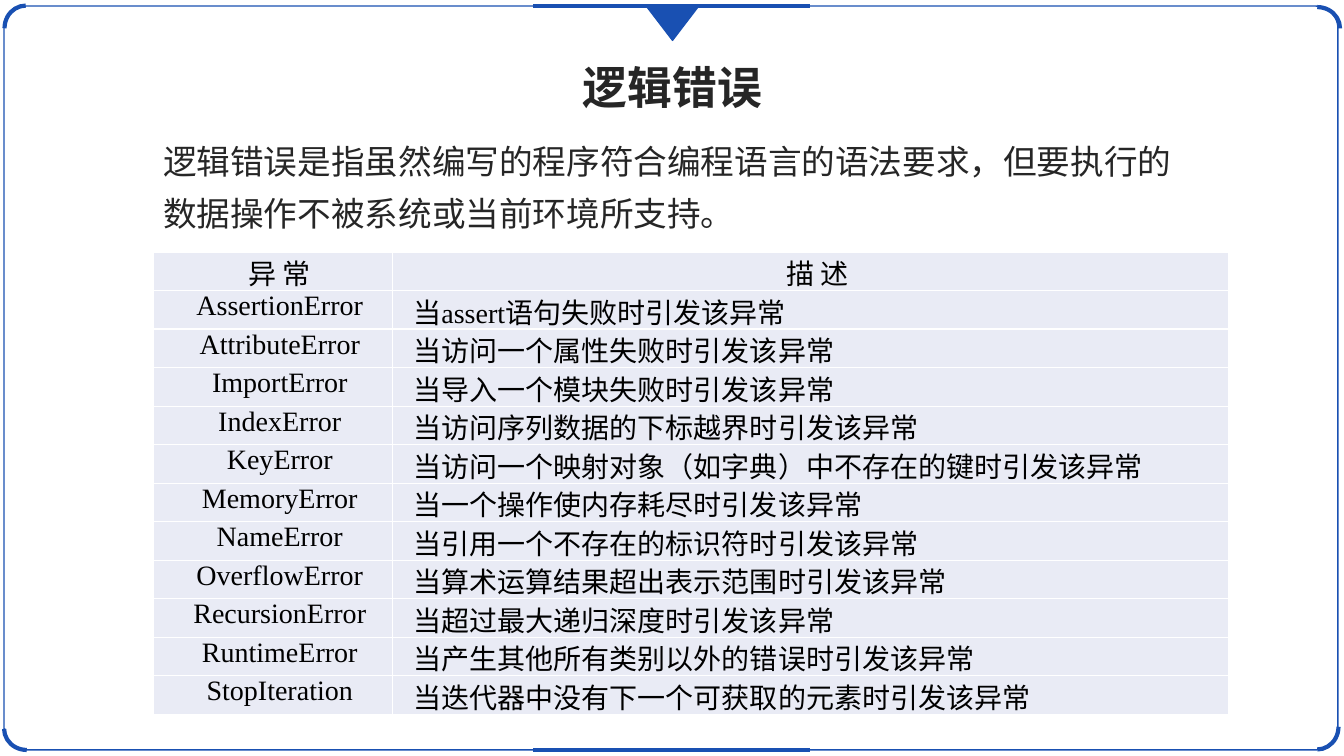
from typing import NamedTuple

from lxml import etree
from pptx import Presentation
from pptx.dml.color import RGBColor
from pptx.enum.shapes import MSO_CONNECTOR, MSO_SHAPE
from pptx.enum.text import MSO_ANCHOR, MSO_AUTO_SIZE, PP_ALIGN
from pptx.oxml.ns import qn
from pptx.util import Inches, Pt

ARC, FRAME = MSO_SHAPE.ARC, MSO_SHAPE.ROUNDED_RECTANGLE
ARROW = MSO_SHAPE.ISOSCELES_TRIANGLE
STRAIGHT = MSO_CONNECTOR.STRAIGHT
LEFT, CENTER = PP_ALIGN.LEFT, PP_ALIGN.CENTER
TOP, MIDDLE = MSO_ANCHOR.TOP, MSO_ANCHOR.MIDDLE
FIT, NO_FIT = MSO_AUTO_SIZE.SHAPE_TO_FIT_TEXT, MSO_AUTO_SIZE.NONE
FONT = "Times New Roman"
BLUE, DARK, BLACK, PALE, WHITE = "1950B2", "262626", "000000", "E9EBF5", "FFFFFF"


class Box(NamedTuple):
    left: float
    top: float
    width: float
    height: float

    def place(self) -> list:
        return [Inches(n) for n in self]


class Part(NamedTuple):
    kind: int
    box: Box
    turn: int
    weight: float
    fill: str = ""


class Row(NamedTuple):
    name: str
    note: str


PARTS = [
    Part(FRAME, Box(0.04, 0.06, 13.23, 7.38), 0, 1),
    Part(ARC, Box(0.03, 0.07, 0.45, 0.42), 270, 3),
    Part(ARC, Box(0.04, 7.02, 0.45, 0.42), 180, 3),
    Part(ARC, Box(12.84, 0.07, 0.45, 0.42), 0, 3),
    Part(ARC, Box(12.84, 7, 0.45, 0.42), 90, 3),
    Part(ARROW, Box(6.41, 0.06, 0.52, 0.34), 180, 1, BLUE),
]
EDGES = [0.06, 7.44]
INTRO = "逻辑错误是指虽然编写的程序符合编程语言的语法要求，但要执行的数据操作不被系统或当前环境所支持。"
ROWS = [
    Row("异 常", "描 述"),
    Row("AssertionError", "当assert语句失败时引发该异常"),
    Row("AttributeError", "当访问一个属性失败时引发该异常"),
    Row("ImportError", "当导入一个模块失败时引发该异常"),
    Row("IndexError", "当访问序列数据的下标越界时引发该异常"),
    Row("KeyError", "当访问一个映射对象（如字典）中不存在的键时引发该异常"),
    Row("MemoryError", "当一个操作使内存耗尽时引发该异常"),
    Row("NameError", "当引用一个不存在的标识符时引发该异常"),
    Row("OverflowError", "当算术运算结果超出表示范围时引发该异常"),
    Row("RecursionError", "当超过最大递归深度时引发该异常"),
    Row("RuntimeError", "当产生其他所有类别以外的错误时引发该异常"),
    Row("StopIteration", "当迭代器中没有下一个可获取的元素时引发该异常"),
]
WIDTHS = [2.37, 8.3]


def paint(target, color: str) -> None:
    """Give a fill or a line's fill one solid colour."""
    target.solid()
    target.fore_color.rgb = RGBColor.from_string(color)


def write(frame, text: str, size: int, color: str, align: int, bold: bool = False):
    frame.text = text
    para = frame.paragraphs[0]
    para.alignment = align
    font = para.font
    font.name, font.size, font.bold = FONT, Pt(size), bold
    font.color.rgb = RGBColor.from_string(color)
    return para


def draw(shapes, part: Part) -> None:
    shape = shapes.add_shape(part.kind, *part.box.place())
    shape.rotation = part.turn
    shape.shadow.inherit = False
    if part.kind == FRAME:
        shape.adjustments[0] = 0.03
    if part.fill:
        paint(shape.fill, part.fill)
    else:
        shape.fill.background()
    paint(shape.line.fill, BLUE)
    shape.line.width = Pt(part.weight)


def rule(shapes, top: float) -> None:
    """Draw the short thick bar at the middle of an edge."""
    line = shapes.add_connector(
        STRAIGHT, Inches(5.29), Inches(top), Inches(8.03), Inches(top))
    paint(line.line.fill, BLUE)
    line.line.width = Pt(3)
    etree.SubElement(line._element.spPr, qn("a:effectLst"))


def border(cell) -> None:
    props = cell._tc.get_or_add_tcPr()
    for side in "LRTB":
        line = etree.SubElement(props, qn(f"a:ln{side}"), w=str(Pt(1)))
        fill = etree.SubElement(line, qn("a:solidFill"))
        etree.SubElement(fill, qn("a:srgbClr"), val=WHITE)


def fill_cell(cell, text: str, align: int, anchor: int) -> None:
    border(cell)
    paint(cell.fill, PALE)
    cell.margin_left = cell.margin_right = Inches(0.07)
    cell.margin_top = cell.margin_bottom = 0
    cell.vertical_anchor = anchor
    para = write(cell.text_frame, text, 20, BLACK, align)
    para._p.get_or_add_pPr().set("indent", str(Inches(0.14)))


def add_grid(shapes) -> None:
    box = Box(1.52, 2.5, sum(WIDTHS), 4.59)
    table = shapes.add_table(len(ROWS), len(WIDTHS), *box.place()).table
    for col, width in zip(table.columns, WIDTHS):
        col.width = Inches(width)
    for r, row in enumerate(ROWS):
        for c, text in enumerate(row):
            align = LEFT if r and c else CENTER
            fill_cell(table.cell(r, c), text, align, TOP if r else MIDDLE)


def main() -> None:
    deck = Presentation()
    deck.slide_width, deck.slide_height = Inches(13.33), Inches(7.5)
    slide = deck.slides.add_slide(deck.slide_layouts[5])
    shapes = slide.shapes
    paint(slide.background.fill, WHITE)

    for part in PARTS:
        draw(shapes, part)
    for top in EDGES:
        rule(shapes, top)

    title = shapes.title
    title.left, title.top, title.width, title.height = Box(5.67, 0.54, 2, 0.64).place()
    frame = title.text_frame
    write(frame, "逻辑错误", 32, DARK, CENTER, True)
    frame.word_wrap, frame.auto_size = False, NO_FIT
    frame.vertical_anchor = TOP

    frame = shapes.add_textbox(*Box(1.52, 1.23, 10.36, 1.1).place()).text_frame
    frame.word_wrap, frame.auto_size = True, FIT
    write(frame, INTRO, 24, DARK, LEFT).line_spacing = 1.3

    add_grid(shapes)
    deck.save("out.pptx")


if __name__ == "__main__":
    main()
